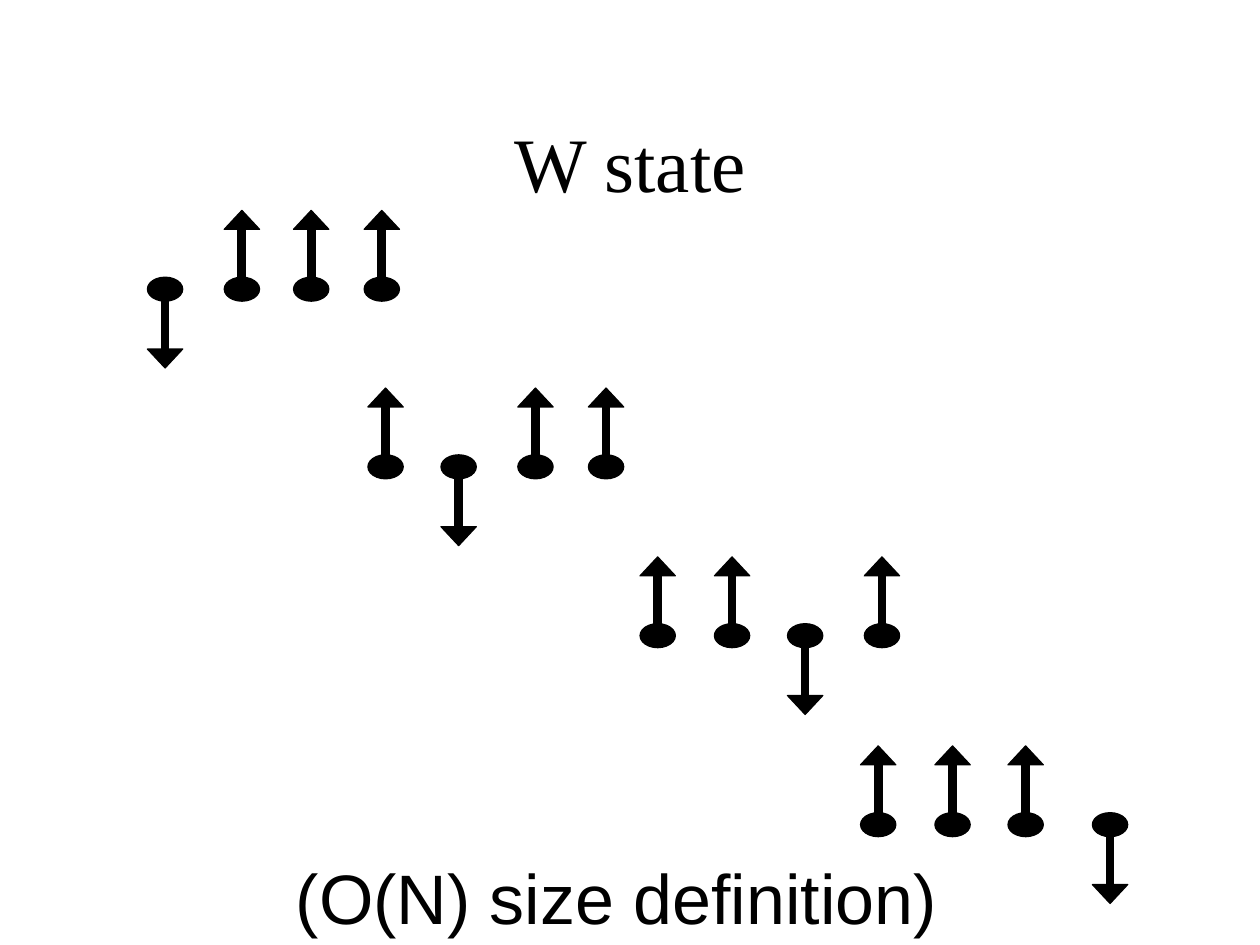
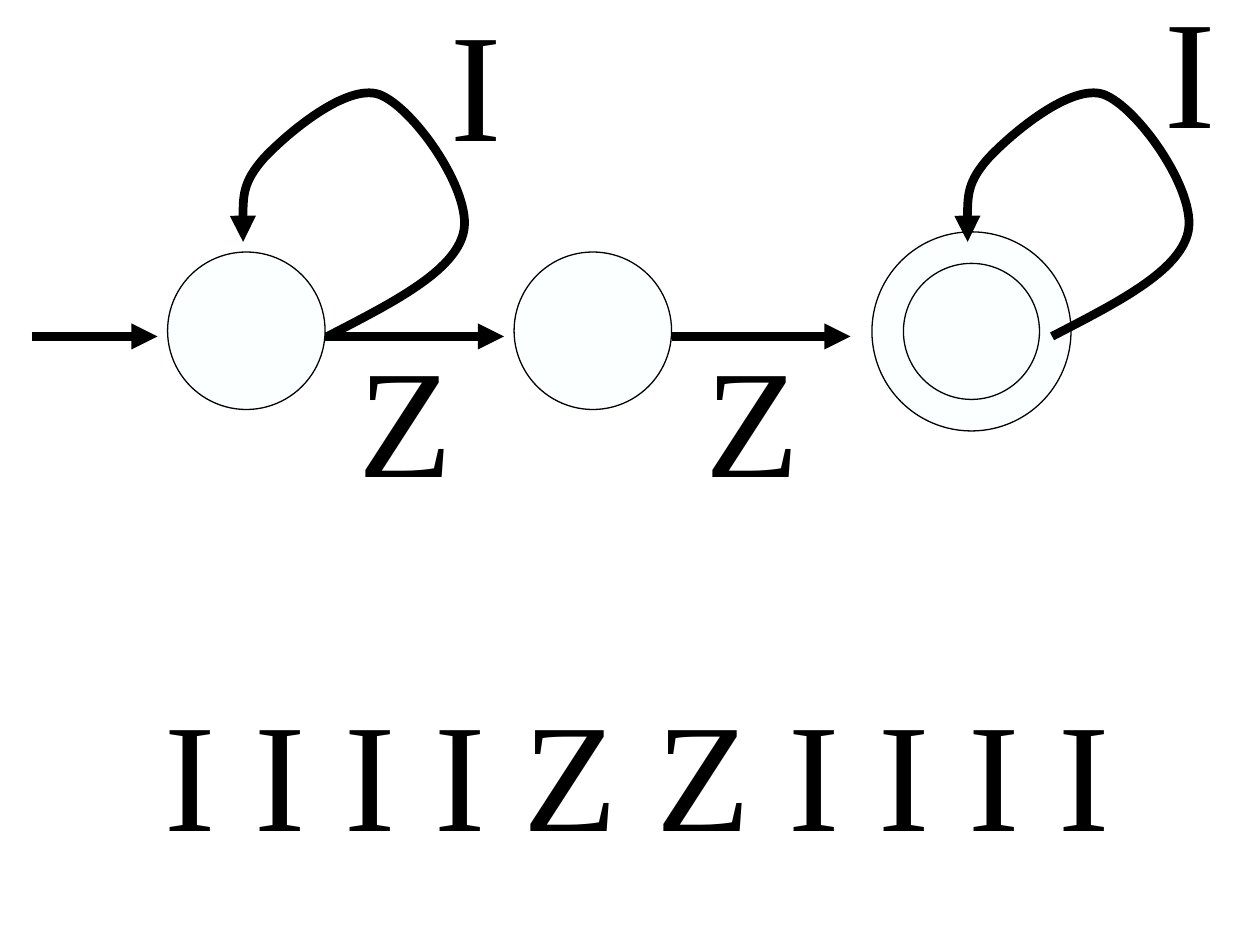
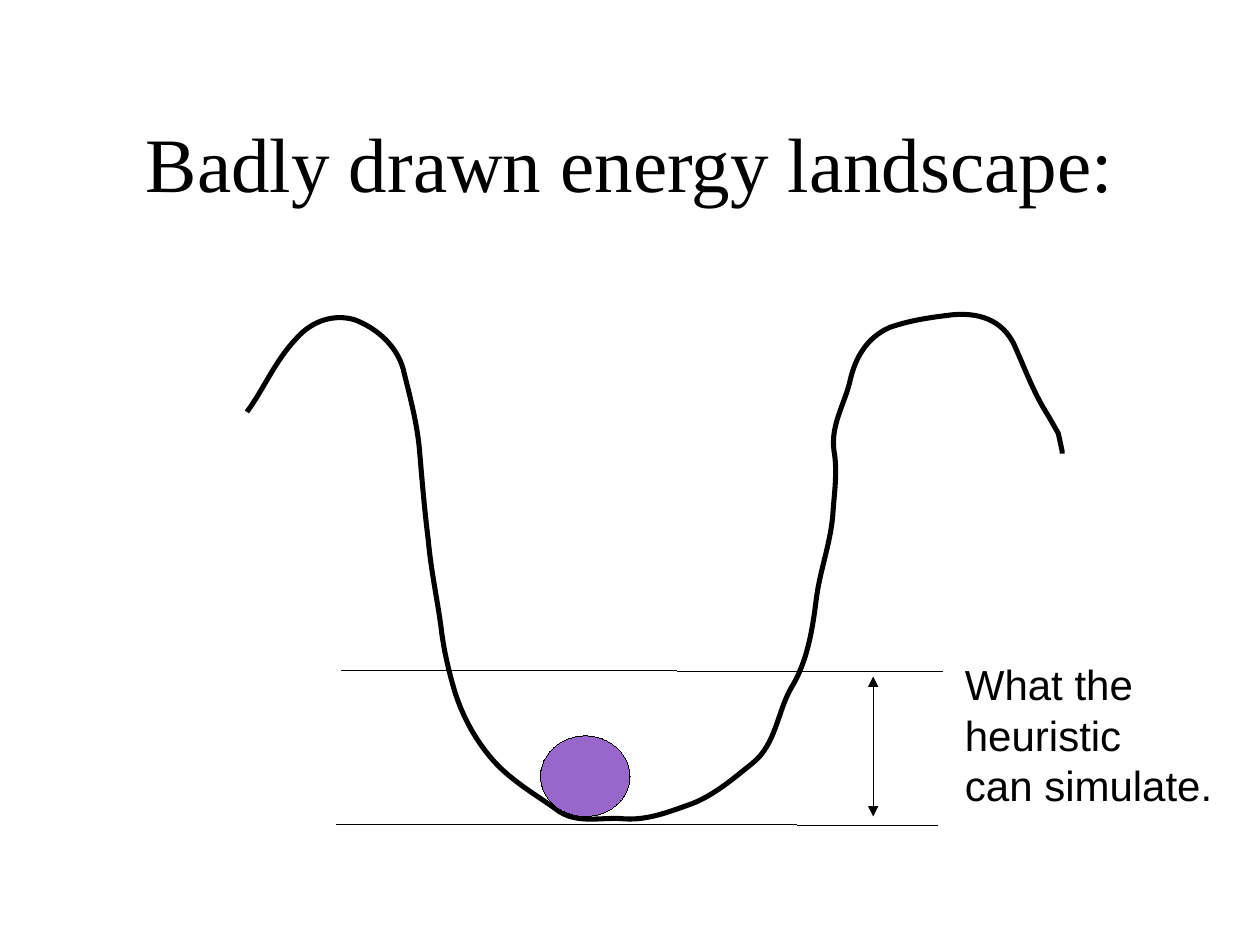
from lxml import etree
from pptx import Presentation
from pptx import util as u
from pptx.dml.color import RGBColor
from pptx.enum import shapes, text
from pptx.oxml import ns

INK = {"black": "000000", "white": "FFFFFF", "state": "FCFFFF", "ball": "9966CC"}
SERIF, SANS = "Times New Roman", "Arial"
KIND = shapes.MSO_SHAPE

ROWS = [
    (2.20, 0, (1.17, 1.78, 2.33, 2.89)),
    (3.61, 1, (2.92, 3.50, 4.11, 4.67)),
    (4.95, 2, (5.08, 5.67, 6.25, 6.86)),
    (6.45, 3, (6.83, 7.42, 8.00, 8.67)),
]

LOOP = [
    (0.68, 2.01), (1.18, 1.75), (1.69, 1.50), (1.76, 1.18), (1.83, 0.86),
    (1.36, 0.19), (1.09, 0.09), (0.83, 0), (0.36, 0.40), (0.18, 0.59),
    (0, 0.79), (0, 1.02), (0.01, 1.26),
]

HILLS = [
    (0, 0.77), (0.14, 0.58), (0.22, 0.37), (0.39, 0.19), (0.52, 0.04),
    (0.70, -0.01), (0.86, 0.04), (1.04, 0.11), (1.21, 0.26), (1.25, 0.47),
    (1.30, 0.67), (1.35, 0.86), (1.37, 1.07), (1.39, 1.31), (1.41, 1.55),
    (1.44, 1.79), (1.46, 2.02), (1.51, 2.25), (1.54, 2.47), (1.56, 2.65),
    (1.60, 2.82), (1.65, 2.99), (1.71, 3.18), (1.81, 3.37), (1.95, 3.53),
    (2.09, 3.69), (2.28, 3.80), (2.45, 3.92), (2.61, 4.05), (2.82, 3.98),
    (3.00, 4.00), (3.19, 4.01), (3.36, 3.94), (3.53, 3.88), (3.71, 3.81),
    (3.86, 3.68), (4.01, 3.56), (4.20, 3.41), (4.21, 3.15), (4.32, 2.96),
    (4.45, 2.75), (4.49, 2.49), (4.52, 2.25), (4.55, 2.02), (4.63, 1.82),
    (4.65, 1.59), (4.66, 1.42), (4.69, 1.25), (4.66, 1.08), (4.63, 0.87),
    (4.75, 0.70), (4.79, 0.51), (4.83, 0.34), (4.92, 0.18), (5.10, 0.10),
    (5.27, 0.04), (5.43, 0.02), (5.59, 0), (5.78, -0.02), (6.00, 0.02),
    (6.10, 0.26), (6.18, 0.44), (6.25, 0.63), (6.36, 0.80),
]
SLOPE = [(6.44, 0.94), (6.47, 1.08), (6.47, 1.10)]


def tint(name):
    """Return a named colour."""
    return RGBColor.from_string(INK[name])


def tag(name):
    """Return a qualified drawing name."""
    return ns.qn("a:" + name)


def stroke(line, width, *ends):
    """Set a black line, writing even a zero width, with optional arrowheads."""
    line.fill.solid()
    line.fill.fore_color.rgb = tint("black")
    pen = line._get_or_add_ln()
    pen.set("w", str(int(u.Pt(width))))
    for end in ends:
        etree.SubElement(pen, tag(end), type="triangle")


def solid(parent, kind, box, fill="black", width=0.75):
    """Add a filled preset shape."""
    shape = parent.shapes.add_shape(kind, *map(u.Inches, box))
    shape.shadow.inherit = False
    shape.fill.solid()
    shape.fill.fore_color.rgb = tint(fill)
    stroke(shape.line, width)
    return shape


def link(slide, start, end, width, *ends):
    """Add a straight line without a shadow."""
    line = slide.shapes.add_connector(
        shapes.MSO_CONNECTOR.STRAIGHT, *map(u.Inches, start + end))
    stroke(line.line, width, *ends)
    etree.SubElement(line._element.spPr, tag("effectLst"))


def curve(slide, left, top, bends, width, *ends, rest=()):
    """Draw cubic bends, then straight pieces, from a corner."""
    spots = [(u.Inches(left + x), u.Inches(top + y)) for x, y in [*bends, *rest]]
    pen = slide.shapes.build_freeform(*spots[0])
    pen.add_line_segments(spots[1:], close=False)
    shape = pen.convert_to_shape()
    shape.shadow.inherit = False
    shape.fill.background()
    stroke(shape.line, width, *ends)
    steps = list(shape._element.iter(tag("lnTo")))
    for i in range(0, len(bends) - 1, 3):
        bend = etree.Element(tag("cubicBezTo"))
        steps[i].addprevious(bend)
        for step in steps[i:i + 3]:
            bend.append(step[0])
            step.getparent().remove(step)


def label(slide, box, words, size, face):
    """Add a text box with one paragraph per line."""
    frame = slide.shapes.add_textbox(*map(u.Inches, box)).text_frame
    frame.word_wrap = True
    frame.text = words
    for para in frame.paragraphs:
        para.font.size = u.Pt(size)
        para.font.name = face
        para.font.color.rgb = tint("black")
    return frame


def title(slide, words):
    """Add the centred slide title."""
    frame = label(slide, (0.75, 0.66, 8.5, 1.25), words, 44, SERIF)
    frame.vertical_anchor = text.MSO_ANCHOR.MIDDLE
    frame.paragraphs[0].alignment = text.PP_ALIGN.CENTER


def spin(group, left, top, down):
    """Draw one spin whose disc sits at the given corner."""
    tip, stem = (0.57, 0.11) if down else (-0.53, -0.42)
    solid(group, KIND.OVAL, (left, top, 0.28, 0.19))
    head = solid(group, KIND.ISOSCELES_TRIANGLE, (left, top + tip, 0.28, 0.15))
    head.rotation = 180 if down else 0
    solid(group, KIND.RECTANGLE, (left + 0.11, top + stem, 0.06, 0.49))


def spins(slide):
    """Build the W state slide."""
    title(slide, "W state")
    for top, low, lefts in ROWS:
        group = slide.shapes.add_group_shape()
        for i, left in enumerate(lefts):
            spin(group, left, top, i == low)
    label(slide, (2.25, 6.73, 5.5, 0.77), "(O(N) size definition)", 40, SANS)


def states(slide, left, top):
    """Draw the state machine from its top left corner."""
    mid = top + 2.01
    for x, y, size in ((6.67, 1.18, 1.58), (1.08, 1.34, 1.25),
                       (6.92, 1.43, 1.08), (3.83, 1.34, 1.25)):
        solid(slide, KIND.OVAL, (left + x, top + y, size, size), "state")
    for x, end in ((0, 1), (2.33, 3.75), (5.08, 6.5)):
        link(slide, (left + x, mid), (left + end, mid), 5, "tailEnd")
    for x in (1.67, 7.42):
        curve(slide, left + x, top, LOOP, 5, "tailEnd")
    for x, y, wide, sign in ((3.23, -0.81, 0.6, "I"), (8.89, -0.91, 0.6, "I"),
                             (2.5, 1.86, 0.94, "Z"), (5.25, 1.86, 0.94, "Z")):
        label(slide, (left + x, top + y, wide, 1.57), sign, 88, SERIF)


def chain(slide):
    """Build the state machine slide."""
    states(slide, 0.25, 0.66)
    label(slide, (1.21, 5.33, 8, 1.57), "I I I I Z Z I I I I", 88, SERIF)


def valley(slide, left, top):
    """Draw the landscape and its marks from a corner."""
    curve(slide, left, top, HILLS, 2.89, rest=SLOPE)
    solid(slide, KIND.OVAL, (left + 2.33, top + 3.34, 0.71, 0.64), "ball", 0)
    for x, y in ((0.75, 2.82), (0.71, 4.04)):
        link(slide, (left + x, top + y), (left + x + 4.77, top + y + 0.01), 0)
    link(slide, (left + 4.97, top + 2.87), (left + 4.97, top + 3.98), 0,
         "headEnd", "tailEnd")
    label(slide, (left + 5.6, top + 2.68, 2.4, 1.3),
          "What the\nheuristic\ncan simulate.", 24, SANS)


def energy(slide):
    """Build the energy landscape slide."""
    title(slide, "Badly drawn energy landscape:")
    valley(slide, 1.96, 2.5)


def main():
    """Build and save the deck."""
    deck = Presentation()
    deck.slide_width, deck.slide_height = u.Inches(10), u.Inches(7.5)
    for build in (spins, chain, energy):
        slide = deck.slides.add_slide(deck.slide_layouts[6])
        slide.background.fill.solid()
        slide.background.fill.fore_color.rgb = tint("white")
        build(slide)
    deck.save("out.pptx")


if __name__ == "__main__":
    main()
